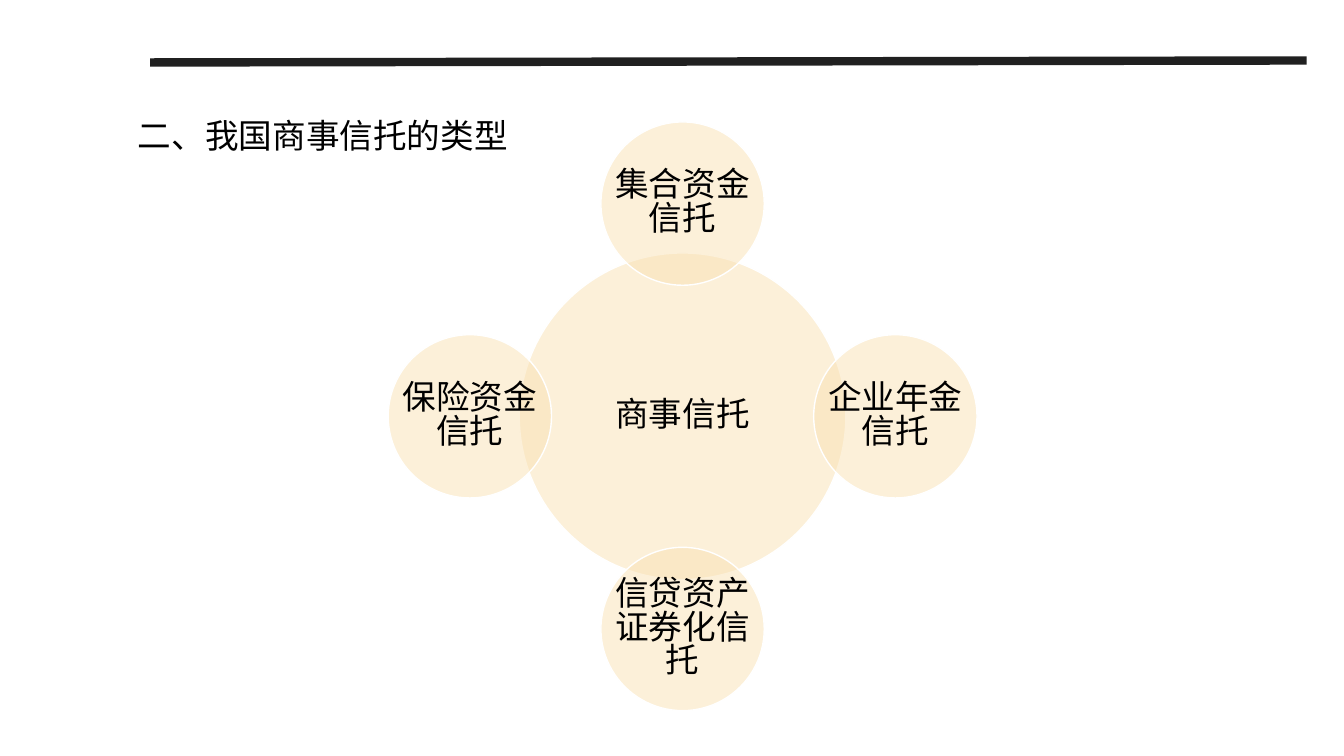
from lxml.etree import SubElement
from pptx import Presentation
from pptx.dml.color import RGBColor
from pptx.enum.shapes import MSO_CONNECTOR, MSO_SHAPE
from pptx.enum.text import MSO_ANCHOR, PP_ALIGN
from pptx.oxml.ns import qn
from pptx.util import Inches, Pt

CENTER_X, CENTER_Y = 6.77, 4.13
ORBIT = 2.11
HUB_SIZE, TYPE_SIZE = 3.24, 1.62
TRUST_TYPES = [
    ("集合资金信托", 0, -1),
    ("企业年金信托", 1, 0),
    ("信贷资产证券化信托", 0, 1),
    ("保险资金信托", -1, 0),
]


def color(value):
    return RGBColor.from_string(value)


class SlideBuilder:
    font = "Noto Sans CJK SC"
    size = 24
    ink = "000000"
    rule = "202020"
    bubble_fill = "FAE2B5"
    bubble_line = "FFFFFF"

    def __init__(self, page):
        self.page = page

    def line(self, start, end, width):
        points = [Inches(value) for value in (*start, *end)]
        connector = self.page.shapes.add_connector(MSO_CONNECTOR.STRAIGHT, *points)
        connector.line.color.rgb = color(self.rule)
        connector.line.width = Pt(width)
        SubElement(connector._element.spPr, qn("a:effectLst"))

    def text(self, words, left, top, width, height):
        """Add a wrapped text box and return its frame and paragraph."""
        box = self.page.shapes.add_textbox(
            Inches(left), Inches(top), Inches(width), Inches(height))
        frame = box.text_frame
        frame.word_wrap = True
        para = frame.paragraphs[0]
        span = para.add_run()
        span.text = words
        para.font.size = Pt(self.size)
        para.font.name = self.font
        para.font.color.rgb = color(self.ink)
        # East Asian text takes its typeface from a:ea
        SubElement(para.font._element, qn("a:ea"), typeface=self.font)
        return frame, para

    def title(self, words, left, top, width, height):
        para = self.text(words, left, top, width, height)[1]
        para.line_spacing = 1.25
        para.space_before = Pt(10)

    def bubble(self, words, center_x, center_y, size):
        """Add a translucent circle with a label as wide as the circle."""
        left, top = center_x - size / 2, center_y - size / 2
        circle = self.page.shapes.add_shape(
            MSO_SHAPE.OVAL, Inches(left), Inches(top), Inches(size), Inches(size))
        circle.shadow.inherit = False
        circle.fill.solid()
        circle.fill.fore_color.rgb = color(self.bubble_fill)
        shade = circle._element.spPr.find(qn("a:solidFill"))[0]
        SubElement(shade, qn("a:alpha"), val="50000")
        circle.line.color.rgb = color(self.bubble_line)
        circle.line.width = Pt(1)

        frame, para = self.text(words, left, top, size, size)
        frame.vertical_anchor = MSO_ANCHOR.MIDDLE
        frame.margin_left = frame.margin_right = Inches(0.03)
        frame.margin_top = frame.margin_bottom = Inches(0.03)
        para.alignment = PP_ALIGN.CENTER
        para.line_spacing = 0.83


def main():
    deck = Presentation()
    deck.slide_width, deck.slide_height = Inches(13.33), Inches(7.5)
    builder = SlideBuilder(deck.slides.add_slide(deck.slide_layouts[6]))

    builder.line((1.49, 0.62), (12.96, 0.6), 6)
    builder.title("二、我国商事信托的类型", 1.27, 0.99, 4.51, 0.98)
    builder.bubble("商事信托", CENTER_X, CENTER_Y, HUB_SIZE)
    for words, across, down in TRUST_TYPES:
        builder.bubble(words, CENTER_X + across * ORBIT,
                       CENTER_Y + down * ORBIT, TYPE_SIZE)
    deck.save("out.pptx")


if __name__ == "__main__":
    main()
